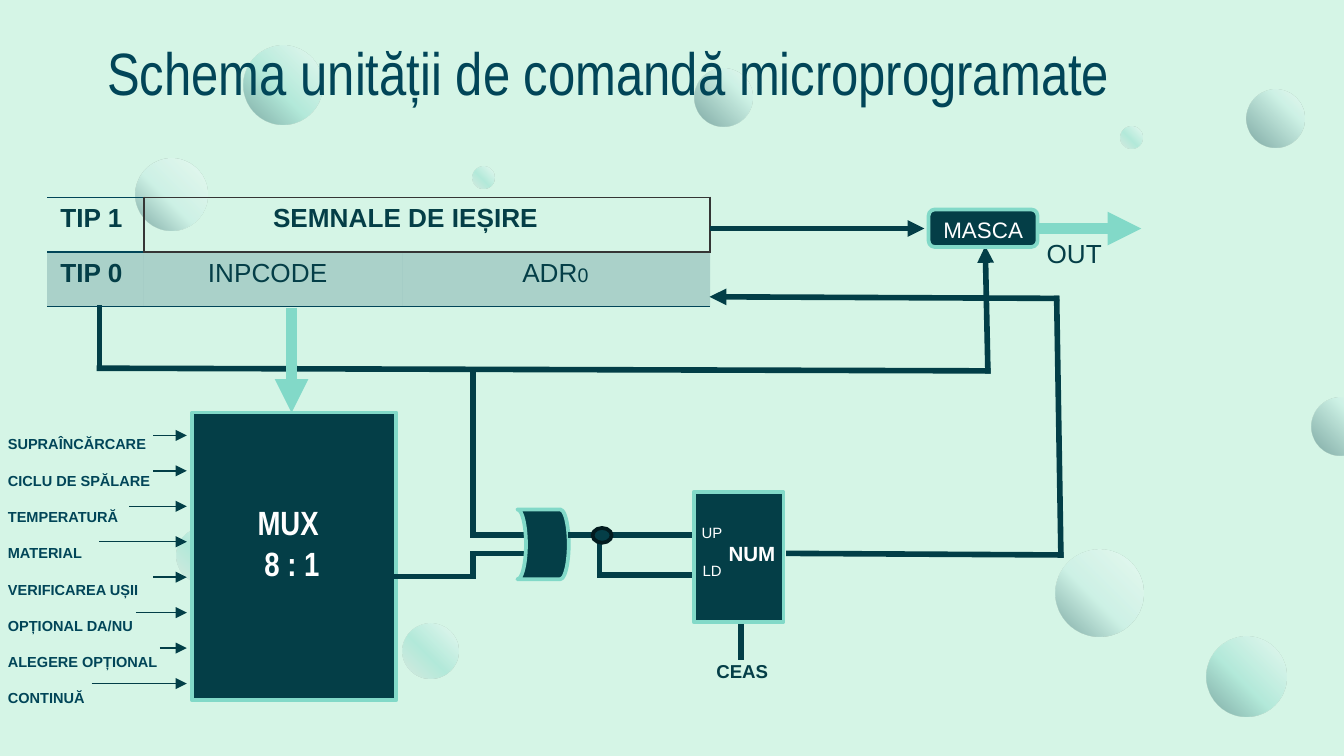
from itertools import pairwise

from lxml import etree
from pptx import Presentation
from pptx.dml.color import RGBColor
from pptx.enum.shapes import MSO_CONNECTOR, MSO_SHAPE
from pptx.enum.text import PP_ALIGN
from pptx.oxml import parse_xml
from pptx.oxml.ns import nsdecls, qn
from pptx.util import Cm, Pt

RECT, ROUNDED = MSO_SHAPE.RECTANGLE, MSO_SHAPE.ROUNDED_RECTANGLE
OVAL, GATE = MSO_SHAPE.OVAL, MSO_SHAPE.FLOWCHART_STORED_DATA
STRAIGHT = MSO_CONNECTOR.STRAIGHT
CENTER, JUSTIFY = PP_ALIGN.CENTER, PP_ALIGN.JUSTIFY

MINT, AQUA, PALE, GREY = "D5F5E6", "82D9C8", "C1ECE4", "D9D9D9"
DARK, WIRE, NAVY, FRAME = "043E47", "023E47", "014558", "353535"
WHITE, NODE = "FFFFFF", "021B1F"
NO_STYLE = "{2D5ABB26-0587-4C30-8999-92F81FD0307C}"


def color(value):
    return RGBColor.from_string(value)


def add_run(paragraph, text, size, ink, bold=False, font="Arial"):
    run = paragraph.add_run()
    run.text = text
    run.font.size = Pt(size)
    run.font.name = font
    run.font.bold = bold
    run.font.color.rgb = color(ink)


def add_text(slide, box, at, lines, size, ink, bold=False, font="Arial",
             align=None, spacing=None):
    """Text box at an offset (x, y, width, height) from the box's corner."""
    x, y, width, height = at
    frame = slide.shapes.add_textbox(Cm(box[0] + x), Cm(box[1] + y),
                                     Cm(width), Cm(height)).text_frame
    frame.word_wrap = True
    for i, line in enumerate(lines):
        paragraph = frame.add_paragraph() if i else frame.paragraphs[0]
        paragraph.alignment = align
        paragraph.line_spacing = spacing
        add_run(paragraph, line, size, ink, bold, font)


def add_block(slide, kind, box, fill=DARK, line=AQUA):
    block = slide.shapes.add_shape(kind, *map(Cm, box))
    block.shadow.inherit = False
    block.fill.solid()
    block.fill.fore_color.rgb = color(fill)
    block.line.color.rgb = color(line)
    block.line.width = Pt(2)
    return block


def add_wire(slide, box, points, ink=WIRE, width=3, arrow=False):
    """Straight segments through points given relative to the box's corner."""
    corners = [(Cm(box[0] + x), Cm(box[1] + y)) for x, y in points]
    for start, end in pairwise(corners):
        segment = slide.shapes.add_connector(STRAIGHT, *start, *end)
        segment.line.color.rgb = color(ink)
        segment.line.width = Pt(width)
        properties = segment._element.spPr
        etree.SubElement(properties, qn("a:effectLst"))
        outline = properties.find(qn("a:ln"))
        if len(points) > 2:
            outline.set("cap", "sq")
        if arrow and end == corners[-1]:
            etree.SubElement(outline, qn("a:tailEnd"), type="triangle")


def set_border(cell, edges):
    properties = cell._tc.get_or_add_tcPr()
    fill = properties.find(qn("a:solidFill"))
    for side in "LRTB":
        if side in edges:
            border = parse_xml(
                f'<a:ln{side} {nsdecls("a")} w="12700"><a:solidFill>'
                f'<a:srgbClr val="{edges[side]}"/></a:solidFill></a:ln{side}>')
        else:
            border = parse_xml(f'<a:ln{side} {nsdecls("a")} w="0"><a:noFill/></a:ln{side}>')
        if fill is None:
            properties.insert("LRTB".index(side), border)
        else:
            fill.addprevious(border)


def build_bubbles(slide, box):
    bubbles = [  # x, y, diameter, middle stop, middle tint, edge tint
        (4.6, 0.86, 1.5, 56, AQUA, DARK), (22.81, 12.04, 1.5, 56, AQUA, DARK),
        (2.57, 3, 1.35, 56, PALE, DARK), (8.94, 3.15, 0.41, 56, AQUA, GREY),
        (13.13, 1.3, 1.09, 31, PALE, DARK), (7.62, 11.79, 1.04, 56, AQUA, GREY),
        (23.57, 1.7, 1.09, 31, PALE, DARK), (24.79, 7.52, 1.09, 31, PALE, DARK),
        (3.33, 9.98, 1.04, 56, AQUA, GREY), (21.18, 2.39, 0.41, 56, AQUA, GREY),
        (19.96, 10.39, 1.65, 56, PALE, DARK)]
    for x, y, size, middle, tint, edge in bubbles:
        bubble = add_block(slide, OVAL, (box[0] + x, box[1] + y, size, size))
        bubble.line.fill.background()
        stops = "".join(
            f'<a:gs pos="{stop * 1000}"><a:srgbClr val="{ink}">'
            f'<a:alpha val="41000"/></a:srgbClr></a:gs>'
            for stop, ink in ((0, WHITE), (middle, tint), (100, edge)))
        solid = bubble._element.spPr.find(qn("a:solidFill"))
        solid.getparent().replace(solid, parse_xml(
            f'<a:gradFill {nsdecls("a")}><a:gsLst>{stops}</a:gsLst><a:path path="circle">'
            '<a:fillToRect l="100000" b="100000"/></a:path></a:gradFill>'))


def build_title(slide, box):
    add_text(slide, box, (0, 0, *box[2:]), ["Schema unității de comandă microprogramate"],
             32, NAVY, font="Arial Narrow")


def build_inputs(slide, box):
    signals = {"SUPRAÎNCĂRCARE": 3, "CICLU DE SPĂLARE": 3, "TEMPERATURĂ": 2.54,
               "MATERIAL": 1.98, "VERIFICAREA UȘII": 3, "OPȚIONAL DA/NU": 2.67,
               "ALEGERE OPȚIONAL": 3.12, "CONTINUĂ": 1.83}
    add_text(slide, box, (0, 0, *box[2:]), signals, 7.8, NAVY, True,
             align=JUSTIFY, spacing=2.08)
    for i, start in enumerate(signals.values()):
        y = 0.48 + 0.67 * i
        add_wire(slide, box, [(start, y), (3.63, y)], width=0.75, arrow=True)


def build_mux(slide, box):
    add_block(slide, RECT, box)
    add_text(slide, box, (0.66, 1.57, 2.46, 1.8), ["MUX ", "8 : 1"], 18, WHITE, True,
             "Arial Narrow", CENTER)


def build_instruction(slide, box):
    # Control line from the type field, and the code arrow into the multiplexer
    add_wire(slide, box, [(0.99, 2.09), (0.99, 3.23), (17.78, 3.28), (17.73, 0.92)],
             arrow=True)
    add_wire(slide, box, [(4.62, 2.09), (4.62, 4.07)], AQUA, 6, True)

    # Instruction formats
    table = slide.shapes.add_table(2, 3, *map(Cm, box)).table
    table.first_row = table.horz_banding = False
    table._tbl.tblPr.find(qn("a:tableStyleId")).text = NO_STYLE
    for column, width in zip(table.columns, (1.83, 4.88, 5.82)):
        column.width = Cm(width)
    for row in table.rows:
        row.height = Cm(box[3] / 2)
    table.cell(0, 1).merge(table.cell(0, 2))

    fields = {(0, 0): ("TIP 1", True, 0.25), (0, 1): ("SEMNALE DE IEȘIRE", True, 2.44),
              (1, 0): ("TIP 0", True, 0.25), (1, 1): ("INPCODE", False, 1.21),
              (1, 2): ("ADR", False, 2.27)}
    for (row, column), (text, bold, margin) in fields.items():
        cell = table.cell(row, column)
        cell.margin_left = Cm(margin)
        add_run(cell.text_frame.paragraphs[0], text, 14, DARK, bold)
    add_run(table.cell(1, 2).text_frame.paragraphs[0], "0", 10.5, DARK)

    for column in range(3):
        output, operand = table.cell(0, column), table.cell(1, column)
        output.fill.background()
        operand.fill.solid()
        operand.fill.fore_color.rgb = color(NAVY)
        tint = operand._tc.tcPr.find(qn("a:solidFill"))[0]
        etree.SubElement(tint, qn("a:alpha"), val="20000")
        set_border(operand, {"T": FRAME if column else NAVY, "B": NAVY})
    set_border(table.cell(0, 0), {"T": NAVY, "R": FRAME, "B": NAVY})
    set_border(table.cell(0, 1), dict.fromkeys("LRTB", FRAME))
    set_border(table.cell(0, 2), dict.fromkeys("RTB", FRAME))
    # Borders precede the fill in the schema
    for cell in table.iter_cells():
        properties = cell._tc.tcPr
        for empty in properties.findall(qn("a:noFill")):
            properties.append(empty)


def build_mask(slide, box):
    add_block(slide, ROUNDED, box)
    add_text(slide, box, (0.03, 0, 3.3, 0.76), ["MASCA"], 12, WHITE)
    add_wire(slide, box, [(-4.14, 0.36), (-0.08, 0.36)], DARK, arrow=True)
    add_wire(slide, box, [(2.06, 0.36), (4.02, 0.36)], AQUA, 6, True)
    add_text(slide, box, (1.98, 0.41, 2.41, 0.86), ["OUT"], 14, DARK)


def build_gate(slide, box):
    # Inputs from the multiplexer and the control line
    add_wire(slide, box, [(0, 1.27), (1.45, 1.27), (1.45, 0.83), (2.46, 0.83)])
    add_wire(slide, box, [(1.45, -2.62), (1.45, 0.48), (2.44, 0.48)])
    gate = add_block(slide, GATE, (box[0] + 2.29, box[1], 0.97, box[3]))
    gate._element.spPr.find(qn("a:xfrm")).set("flipH", "1")
    # Output and its branch to the counter
    add_wire(slide, box, [(3.25, 0.48), (5.74, 0.48)])
    add_wire(slide, box, [(3.84, 0.48), (3.84, 1.24), (5.69, 1.24)])
    add_block(slide, OVAL, (box[0] + 3.71, box[1] + 0.35, 0.36, 0.28), line=NODE)


def build_counter(slide, box):
    add_block(slide, RECT, box)
    add_text(slide, box, (-0.1, 0.48, 1.9, 0.61), ["UP"], 8, WHITE)
    add_text(slide, box, (-0.08, 1.19, 1.9, 0.61), ["LD"], 8, WHITE)
    add_text(slide, box, (0.41, 0.81, 1.9, 0.74), ["NUM"], 11, WHITE, True)
    # Clock
    add_wire(slide, box, [(0.89, 3.17), (0.89, 2.49)])
    add_text(slide, box, (0.18, 3.05, 2.13, 0.69), ["CEAS"], 10, DARK, True)
    # Feedback to the address field
    add_wire(slide, box, [(1.8, 1.16), (6.94, 1.19), (6.86, -3.66), (0.3, -3.69)],
             arrow=True)


def main():
    deck = Presentation()
    deck.slide_width, deck.slide_height = Cm(25.4), Cm(14.29)
    slide = deck.slides.add_slide(deck.slide_layouts[6])
    slide.background.fill.solid()
    slide.background.fill.fore_color.rgb = color(MINT)

    build_bubbles(slide, (0, 0, 25.4, 14.29))
    build_title(slide, (1.78, 0.56, 21.84, 1.63))
    build_mux(slide, (3.63, 7.8, 3.86, 5.44))
    build_inputs(slide, (-0.1, 7.75, 3.38, 5.49))
    build_instruction(slide, (0.89, 3.73, 12.53, 2.06))
    build_mask(slide, (17.55, 3.96, 2.06, 0.71))
    build_gate(slide, (7.49, 9.63, 5.7, 1.32))
    build_counter(slide, (13.11, 9.3, 1.7, 2.46))
    deck.save("out.pptx")


if __name__ == "__main__":
    main()
